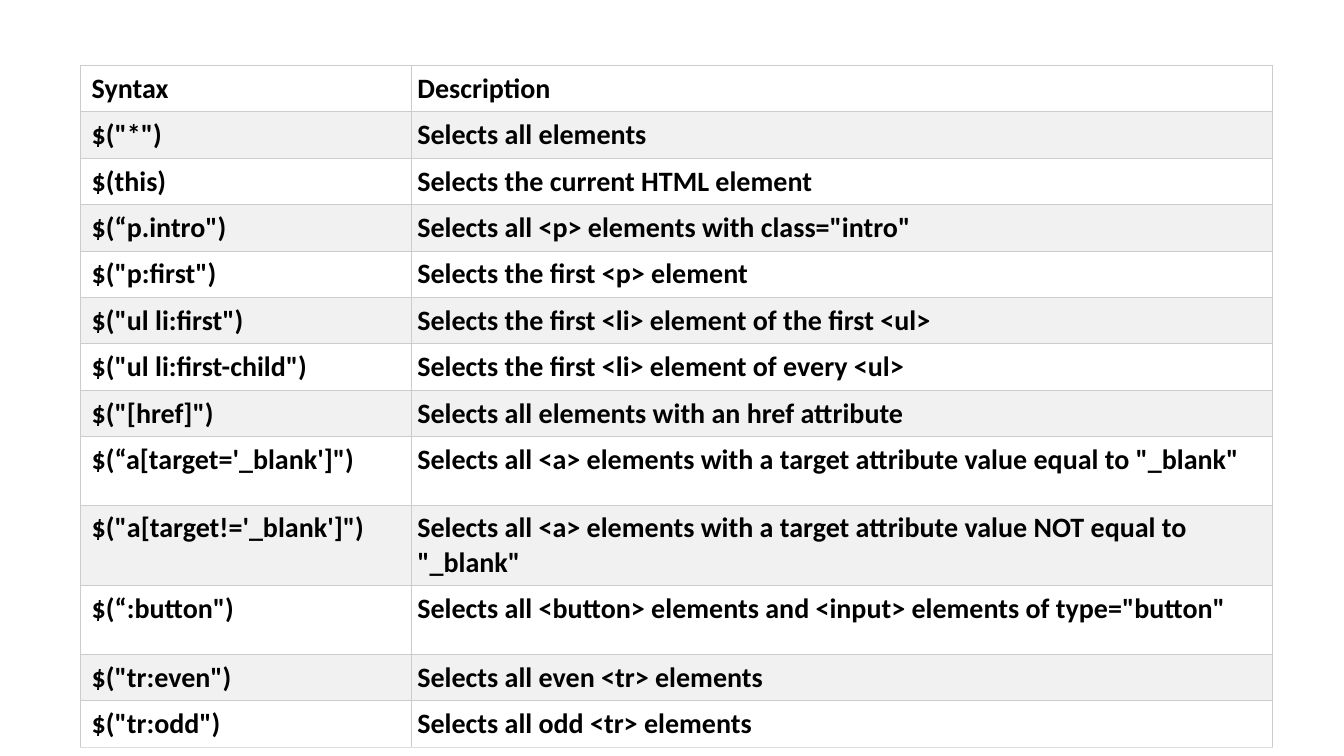
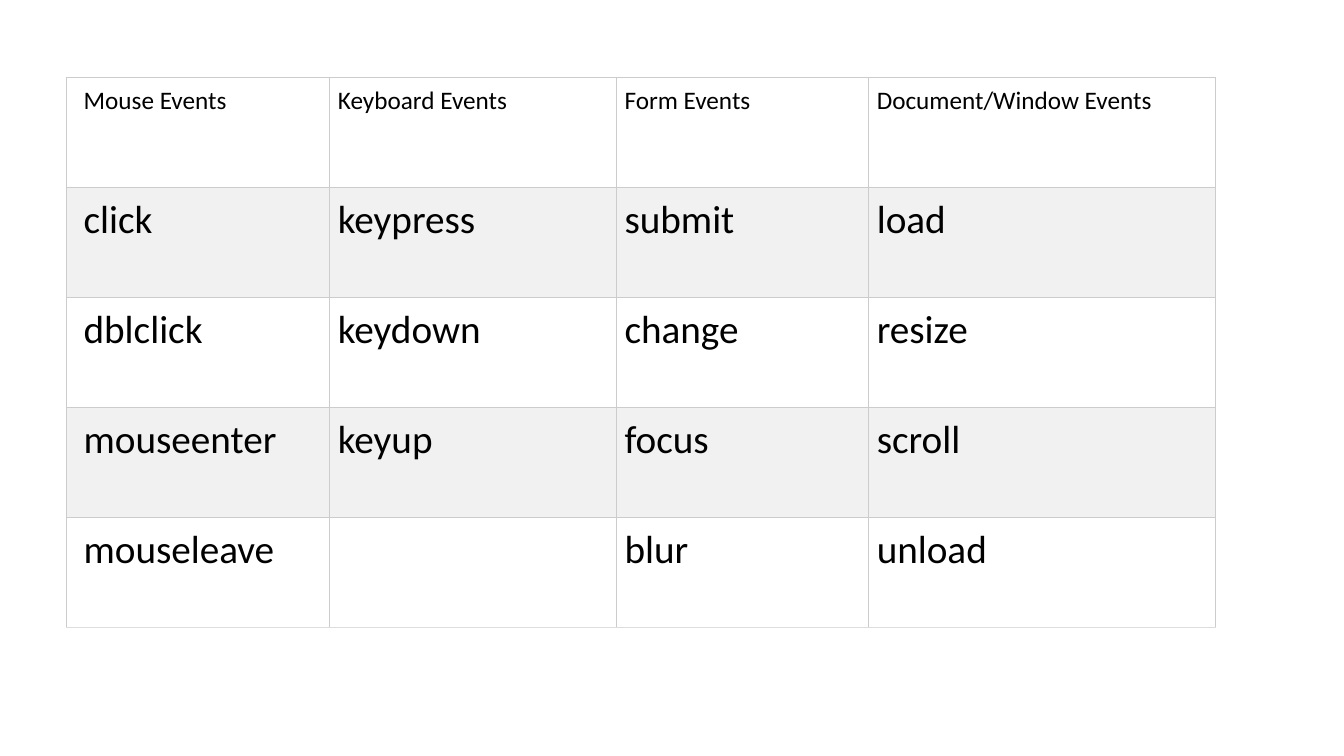
from lxml.etree import SubElement
from pptx import Presentation
from pptx.dml.color import RGBColor
from pptx.oxml.ns import qn
from pptx.util import Inches, Pt

WIDTH, HEIGHT = 13.33, 7.5
FONT = "Calibri"
TEXT, GRID, LAST_LINE = "000000", "CCCCCC", "DDDDDD"
STRIPES = ("FFFFFF", "F1F1F1")
LINE_WIDTH = 0.75

SELECTORS = [
    ("Syntax", "Description"),
    ('$("*")', "Selects all elements"),
    ("$(this)", "Selects the current HTML element"),
    ('$(“p.intro")', 'Selects all <p> elements with class="intro"'),
    ('$("p:first")', "Selects the first <p> element"),
    ('$("ul li:first")', "Selects the first <li> element of the first <ul>"),
    ('$("ul li:first-child")', "Selects the first <li> element of every <ul>"),
    ('$("[href]")', "Selects all elements with an href attribute"),
    ("$(“a[target='_blank']\")",
     'Selects all <a> elements with a target attribute value equal to "_blank"'),
    ("$(\"a[target!='_blank']\")",
     'Selects all <a> elements with a target attribute value NOT equal to "_blank"'),
    ('$(“:button")',
     'Selects all <button> elements and <input> elements of type="button"'),
    ('$("tr:even")', "Selects all even <tr> elements"),
    ('$("tr:odd")', "Selects all odd <tr> elements"),
]

EVENTS = [
    ("Mouse Events", "Keyboard Events", "Form Events", "Document/Window Events"),
    ("click", "keypress", "submit", "load"),
    ("dblclick", "keydown", "change", "resize"),
    ("mouseenter", "keyup", "focus", "scroll"),
    ("mouseleave", "", "blur", "unload"),
]


def color(value):
    return RGBColor.from_string(value)


def write_text(frame, text, size, bold=False, ink=TEXT):
    paragraph = frame.paragraphs[0]
    paragraph.font.size = Pt(size)
    if text:
        run = paragraph.add_run()
        run.text = text
        run.font.name = FONT
        run.font.size = Pt(size)
        run.font.bold = bold
        run.font.color.rgb = color(ink)


def draw_borders(cell, bottom):
    properties = cell._tc.get_or_add_tcPr()
    sides = {"lnL": GRID, "lnR": GRID, "lnT": GRID, "lnB": bottom}
    for side, ink in sides.items():
        line = SubElement(properties, qn(f"a:{side}"), w=str(Pt(LINE_WIDTH)))
        fill = SubElement(line, qn("a:solidFill"))
        SubElement(fill, qn("a:srgbClr"), val=ink)


def add_striped_table(slide, box, rows, columns, heights, sizes, padding, indent, bold):
    left, top, width, height = (Inches(length) for length in box)
    shape = slide.shapes.add_table(len(rows), len(columns), left, top, width, height)
    table = shape.table
    table.first_row = table.horz_banding = False
    for column, share in zip(table.columns, columns):
        column.width = int(width * share / sum(columns))
    for row, length in zip(table.rows, heights):
        row.height = Inches(length)
    shape.height = height

    header_size, body_size = sizes
    for row_index, texts in enumerate(rows):
        bottom = LAST_LINE if row_index == len(rows) - 1 else GRID
        for column_index, text in enumerate(texts):
            cell = table.cell(row_index, column_index)
            cell.margin_left = Inches(padding if column_index else indent)
            cell.margin_top = cell.margin_right = cell.margin_bottom = Inches(padding)
            draw_borders(cell, bottom)
            cell.fill.solid()
            cell.fill.fore_color.rgb = color(STRIPES[row_index % 2])
            size = body_size if row_index else header_size
            write_text(cell.text_frame, text, size, bold=bold)


def add_blank_slide(presentation):
    return presentation.slides.add_slide(presentation.slide_layouts[6])


def build_selectors(presentation):
    single, double = 0.42, 0.68
    add_striped_table(
        add_blank_slide(presentation), (0.8, 0.65, 11.82, 6.62), SELECTORS,
        columns=(3.28, 8.54), heights=[single] * 8 + [double] * 3 + [single] * 2,
        sizes=(20, 20), padding=0.06, indent=0.11, bold=True)


def build_events(presentation):
    height = 5.46
    add_striped_table(
        add_blank_slide(presentation), (0.66, 0.77, 11.4, height), EVENTS,
        columns=(2.61, 2.84, 2.5, 3.44), heights=[height / len(EVENTS)] * len(EVENTS),
        sizes=(18, 28), padding=0.08, indent=0.17, bold=False)


presentation = Presentation()
presentation.slide_width = Inches(WIDTH)
presentation.slide_height = Inches(HEIGHT)
build_selectors(presentation)
build_events(presentation)
presentation.save("out.pptx")
